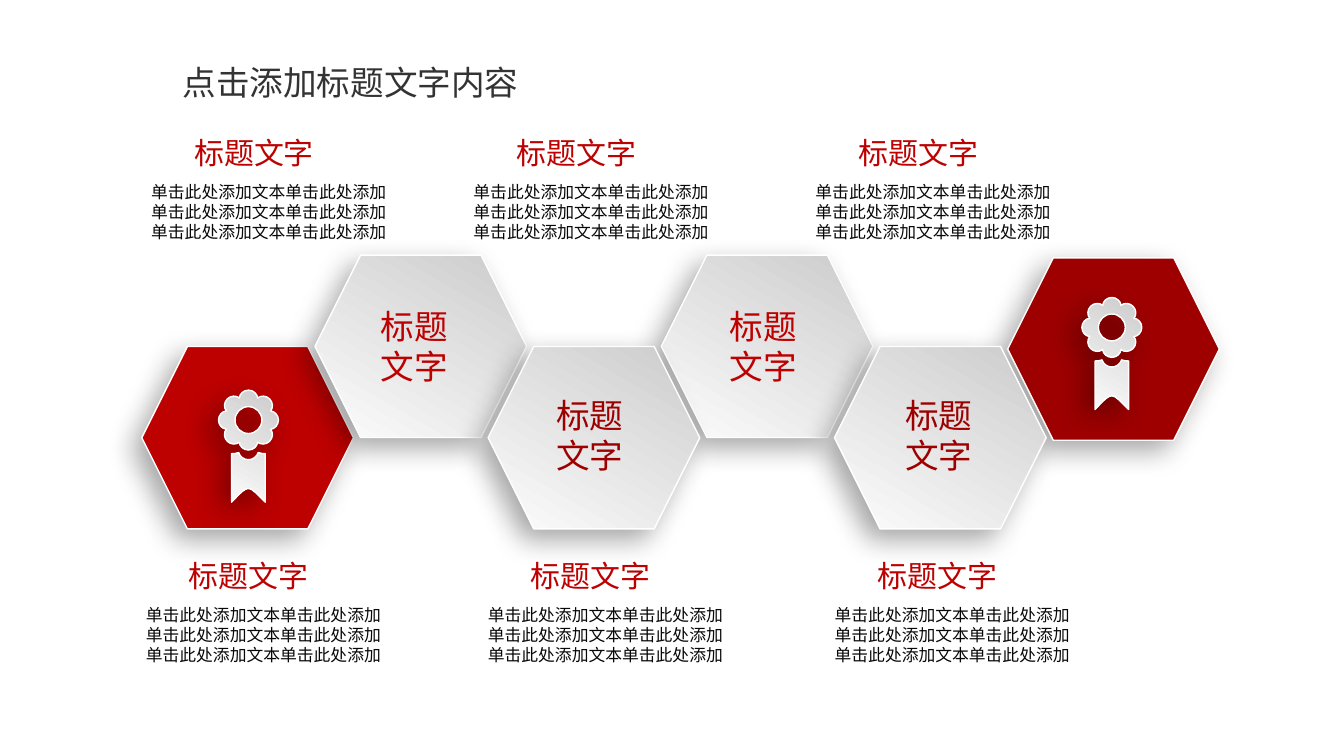
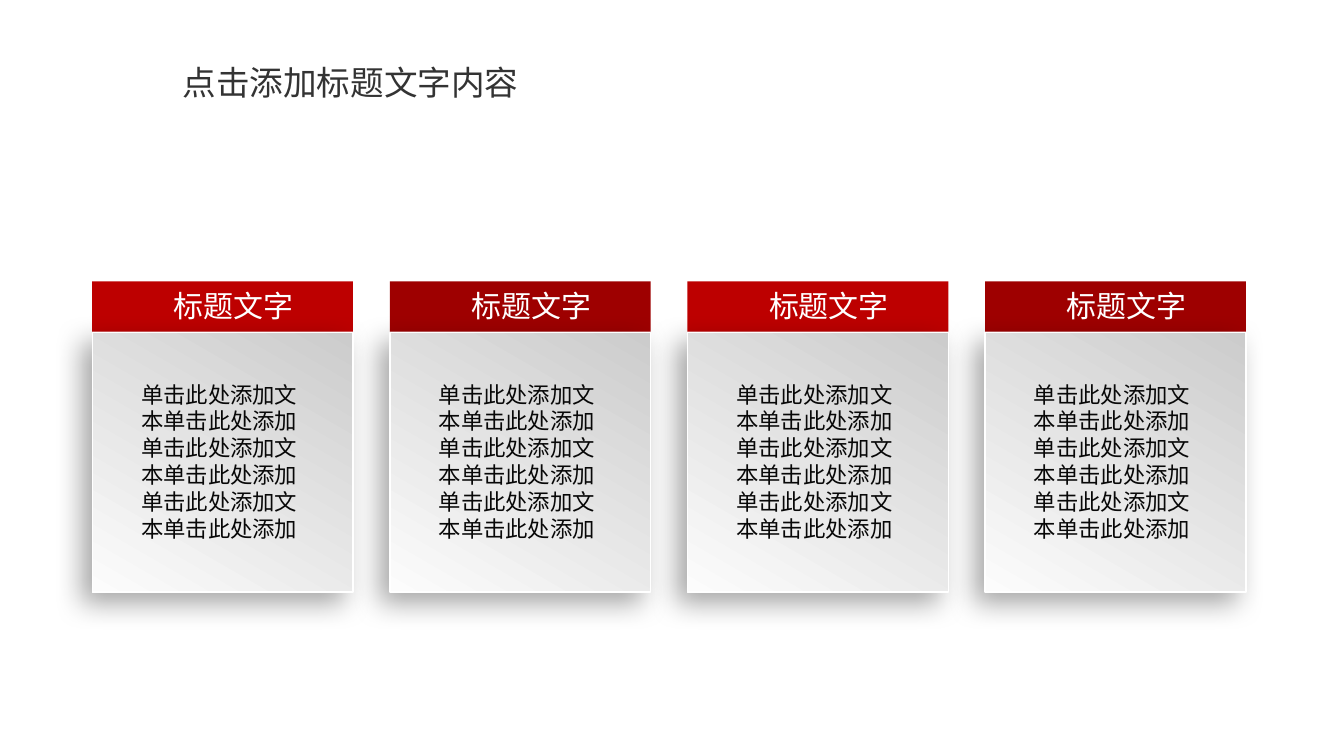
from math import cos, radians, sin

from lxml import etree
from pptx import Presentation
from pptx.dml.color import RGBColor
from pptx.enum.shapes import MSO_SHAPE
from pptx.enum.text import MSO_AUTO_SIZE, PP_ALIGN
from pptx.oxml.ns import qn
from pptx.util import Pt

RED = RGBColor(0xBD, 0x00, 0x00)
DARK_RED = RGBColor(0x9E, 0x00, 0x00)
SILVER = RGBColor(0xCC, 0xCC, 0xCC)
PALE = RGBColor(0xFC, 0xFC, 0xFC)
WHITE = RGBColor(0xFF, 0xFF, 0xFF)
INK = RGBColor(0x08, 0x08, 0x08)
TITLE_GREY = RGBColor(0x33, 0x33, 0x33)
FONT = "Noto Sans CJK SC"

HEXAGON = MSO_SHAPE.HEXAGON
RECTANGLE = MSO_SHAPE.RECTANGLE
ROUND_TOP = MSO_SHAPE.ROUND_2_SAME_RECTANGLE
GROW = MSO_AUTO_SIZE.SHAPE_TO_FIT_TEXT
LEFT = PP_ALIGN.LEFT
CENTER = PP_ALIGN.CENTER

TITLE = "点击添加标题文字内容"
HEADING = "标题文字"
BODY = "\n".join(["单击此处添加文本单击此处添加"] * 3)

HEX_WIDTH, HEX_HEIGHT = 151.2, 130.3
HEX_LEFT, HEX_STEP = 101.3, 123.7
UPPER_ROW, LOWER_ROW = 182.2, 247.5

# Bezier points around the medal centre: a start, then two handles and an end per curve.
PETAL = ((15.8, -6.6), (18.7, -6.3), (21.4, -3.5), (21.4, 0),
         (21.4, 3.5), (18.7, 6.3), (15.8, 6.6))
HOLE_QUARTER = ((9.6, 0), (9.6, 5.3), (5.3, 9.6), (0, 9.6))
RIBBON = ((-7, 23.2), (-8.4, 23.8), (-10.4, 24), (-12, 24),
          (-12, 58.6), (-12, 58.6), (-12, 58.6),
          (0.9, 44.9), (-0.5, 46.3), (12, 58.6),
          (12, 24), (12, 24), (12, 24),
          (10.4, 24), (8.4, 23.8), (7, 23.2),
          (6.1, 26.1), (3.2, 28.3), (0, 28.3),
          (-3.2, 28.3), (-6.1, 26.1), (-7, 23.2))


def add_text(page, box, text, size, color, align=LEFT, wrap=True, insets=(7.2, 3.6, 7.2, 3.6)):
    frame = page.shapes.add_textbox(*map(Pt, box)).text_frame
    frame.word_wrap = wrap
    frame.auto_size = GROW
    frame.margin_left, frame.margin_top, frame.margin_right, frame.margin_bottom = map(Pt, insets)
    frame.text = text
    for paragraph in frame.paragraphs:
        paragraph.alignment = align
        for span in paragraph.runs:
            span.font.name = FONT
            span.font.size = Pt(size)
            span.font.color.rgb = color
            east_asian = etree.SubElement(span.font._element, qn("a:ea"))
            east_asian.set("typeface", FONT)


def add_flat_shape(page, kind, box, color):
    shape = page.shapes.add_shape(kind, *map(Pt, box))
    shape.fill.solid()
    shape.fill.fore_color.rgb = color
    shape.line.fill.background()
    shape.shadow.inherit = False
    return shape


def style_raised(shape, color=None):
    """Give a white outline and soft shadow; without a colour the fill is a silver gradient."""
    if color is None:
        shape.fill.gradient()
        shape.fill.gradient_angle = 240
        for stop, shade in zip(shape.fill.gradient_stops, (SILVER, PALE)):
            stop.color.rgb = shade
    else:
        shape.fill.solid()
        shape.fill.fore_color.rgb = color
    shape.line.color.rgb = WHITE
    shape.line.width = Pt(1)
    shape.shadow.inherit = False
    effects = shape._element.spPr.find(qn("a:effectLst"))
    shadow = etree.SubElement(effects, qn("a:outerShdw"), blurRad=str(Pt(20)), dist=str(Pt(10)),
                              dir=str(136 * 60000), algn="tr", rotWithShape="0")
    black = etree.SubElement(shadow, qn("a:srgbClr"), val="000000")
    etree.SubElement(black, qn("a:alpha"), val="34000")


def add_title(page):
    band = add_flat_shape(page, ROUND_TOP, (205.2, -96.5, 41, 313.2), WHITE)
    band.rotation = 90
    fill_color = band._element.spPr.find(qn("a:solidFill"))[0]
    etree.SubElement(fill_color, qn("a:alpha"), val="68000")
    add_text(page, (73.4, 40.3, 354, 38), TITLE, 24, TITLE_GREY, CENTER)


def turned(points, count):
    """Chain equal copies of a curve around the centre."""
    outline = [points[0]]
    for index in range(count):
        angle = radians(360 * index / count)
        outline += [(x * cos(angle) - y * sin(angle), x * sin(angle) + y * cos(angle))
                    for x, y in points[1:]]
    return outline


def curve_lines(shape):
    """Turn every three line segments of a freeform into one Bezier curve."""
    outline = next(shape._element.iter(qn("a:pathLst")))[0]
    lines = outline.findall(qn("a:lnTo"))
    for first in range(0, len(lines), 3):
        curve = etree.Element(qn("a:cubicBezTo"))
        lines[first].addprevious(curve)
        for line in lines[first:first + 3]:
            curve.append(line[0])
            outline.remove(line)


def add_rosette(page, center_x, center_y):
    """Draw a medal: eight round petals, a hole and a notched ribbon."""
    builder = None
    for outline in (turned(PETAL, 8), turned(HOLE_QUARTER, 4), RIBBON):
        points = [(Pt(center_x + x), Pt(center_y + y)) for x, y in outline]
        if builder is None:
            builder = page.shapes.build_freeform(*points[0])
        else:
            builder.move_to(*points[0])
        builder.add_line_segments(points[1:], close=True)
    medal = builder.convert_to_shape()
    curve_lines(medal)
    style_raised(medal)


def add_hexagon(page, left, top, color=None):
    box = (left, top, HEX_WIDTH, HEX_HEIGHT)
    style_raised(page.shapes.add_shape(HEXAGON, *map(Pt, box)), color)


def add_medal_hexagon(page, left, top, color, medal_x, medal_y):
    add_hexagon(page, left, top, color)
    add_rosette(page, left + medal_x, top + medal_y)


def add_label_hexagon(page, left, top, color, label_x, label_y):
    add_hexagon(page, left, top)
    add_text(page, (left + label_x, top + label_y, 62.6, 67), "标题\n文字", 24, color, wrap=False)


def add_caption(page, left, top):
    add_text(page, (left, top + 33.8, 185.8, 47.5), BODY, 12, INK, insets=(0, 0, 7.2, 3.6))
    add_text(page, (left + 30.6, top, 85.7, 27.4), HEADING, 21.4, RED, CENTER, False, (0, 0, 0, 0))


def add_card(page, left, top, color):
    add_flat_shape(page, RECTANGLE, (left, top, 186.3, 36), color)
    style_raised(page.shapes.add_shape(RECTANGLE, *map(Pt, (left, top + 36.3, 186.3, 185.7))))
    add_text(page, (left + 30.5, top + 0.7, 141, 34.6), HEADING, 21.4, WHITE, CENTER)
    add_text(page, (left + 27.8, top + 67.4, 141, 124), BODY, 16, INK)


def build_hexagon_page(page):
    add_medal_hexagon(page, HEX_LEFT, LOWER_ROW, RED, 76.2, 52.6)
    add_medal_hexagon(page, HEX_LEFT + 5 * HEX_STEP, UPPER_ROW + 2, DARK_RED, 74.4, 49.7)
    for column, label_x in ((1, 40), (3, 41.6), (2, 41.6), (4, 43.3)):
        left = HEX_LEFT + column * HEX_STEP
        if column % 2:
            add_label_hexagon(page, left, UPPER_ROW, RED, label_x, 32.8)
        else:
            add_label_hexagon(page, left, LOWER_ROW, DARK_RED, label_x, 31)
    for top, lefts in ((398.2, (104.2, 348.5, 596.2)), (95.8, (108, 338.2, 582.5))):
        for left in lefts:
            add_caption(page, left, top)
    add_title(page)


def build_card_page(page):
    for column, color in enumerate((RED, DARK_RED) * 2):
        add_card(page, 65.9 + column * 212.6, 201, color)
    add_title(page)


def main():
    deck = Presentation()
    deck.slide_width, deck.slide_height = Pt(960), Pt(540)
    blank = deck.slide_layouts[6]
    for build in (build_hexagon_page, build_card_page):
        build(deck.slides.add_slide(blank))
    deck.save("out.pptx")


if __name__ == "__main__":
    main()
